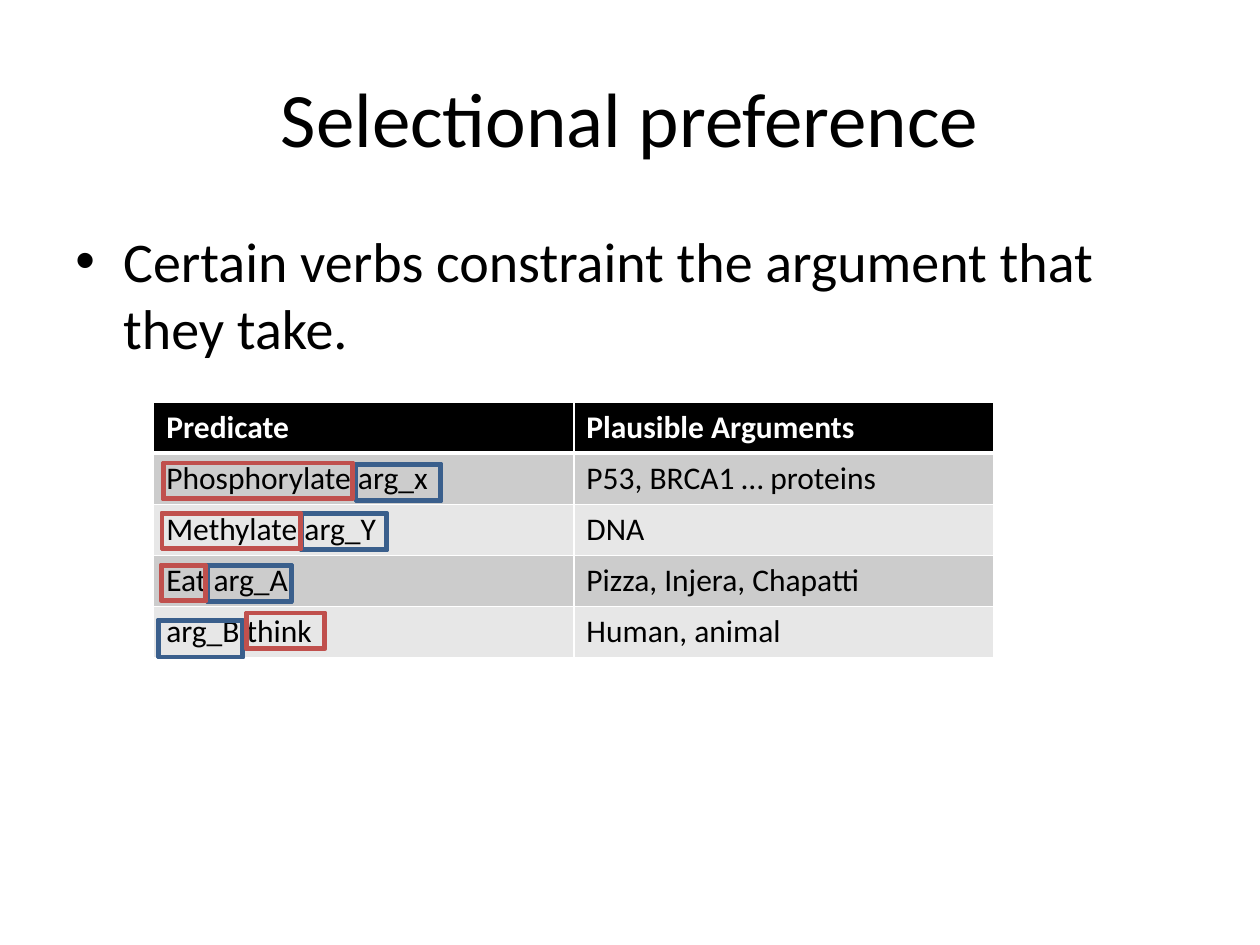
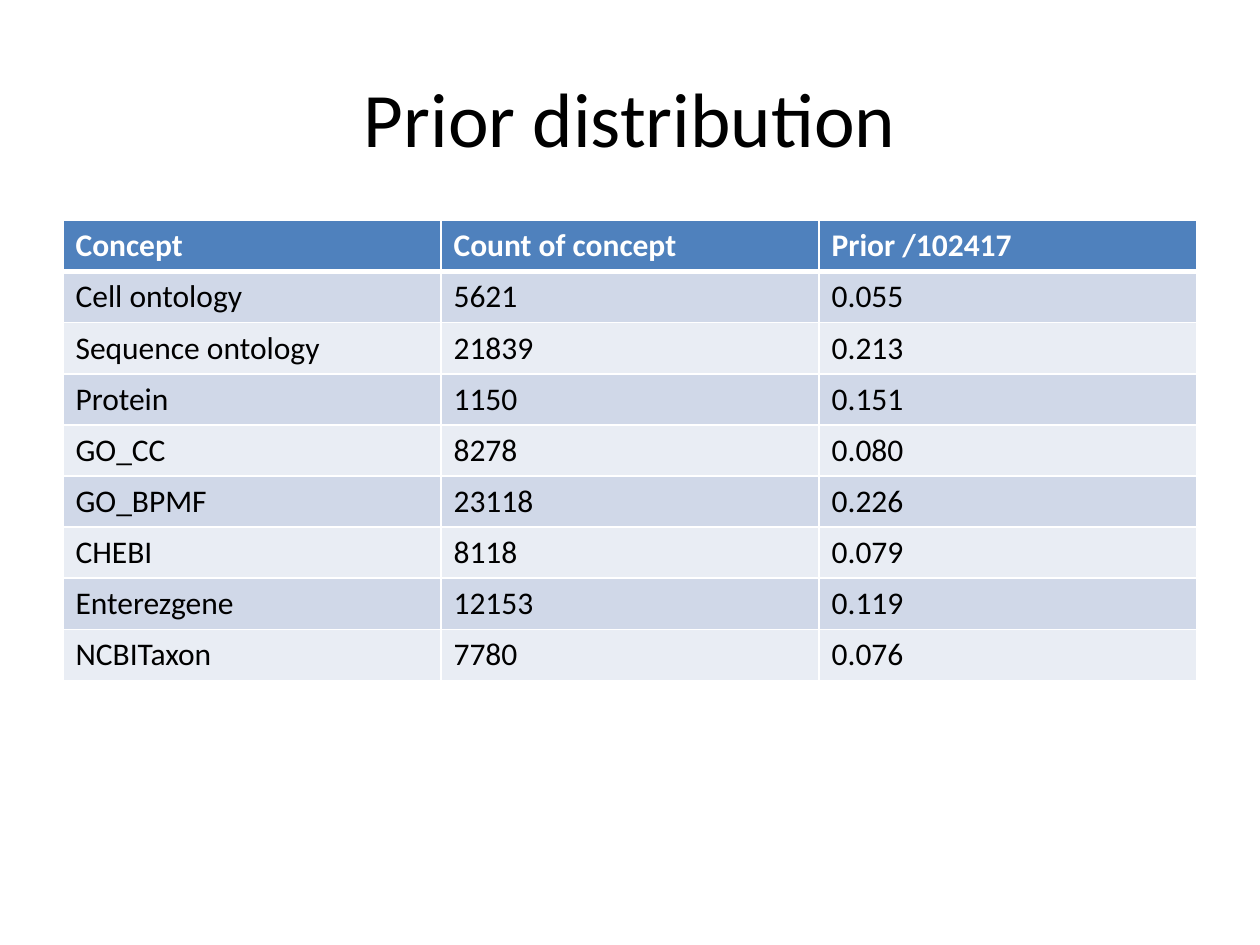
from lxml import etree
from pptx import Presentation
from pptx.dml.color import RGBColor
from pptx.enum.shapes import MSO_SHAPE
from pptx.enum.text import MSO_ANCHOR, PP_ALIGN
from pptx.oxml.ns import qn
from pptx.util import Inches, Pt

FRAME = MSO_SHAPE.FRAME
MIDDLE = MSO_ANCHOR.MIDDLE
LEFT, CENTER = PP_ALIGN.LEFT, PP_ALIGN.CENTER

FONT = "Calibri"
BLACK = RGBColor(0x00, 0x00, 0x00)
WHITE = RGBColor(0xFF, 0xFF, 0xFF)
BLUE = RGBColor(0x4F, 0x81, 0xBD)
DARK_BLUE = RGBColor(0x3A, 0x5F, 0x8C)
RED = RGBColor(0xC0, 0x50, 0x4D)
GREY_BANDS = (RGBColor(0xCC, 0xCC, 0xCC), RGBColor(0xE7, 0xE7, 0xE7))
BLUE_BANDS = (RGBColor(0xD0, 0xD8, 0xE8), RGBColor(0xE9, 0xED, 0xF4))

TITLE_ONLY = 5
TITLE_BOX = (0.5, 0.3, 9, 1.25)
BODY_BOX = (0.5, 1.75, 9, 4.95)
PREFERENCE_BOX = (1.22, 3.19, 6.67, 2.03)
PRIOR_BOX = (0.5, 1.75, 9, 3.65)

PREFERENCES = [
    ("Predicate", "Plausible Arguments"),
    ("Phosphorylate arg_x", "P53, BRCA1 … proteins"),
    ("Methylate arg_Y", "DNA"),
    ("Eat arg_A", "Pizza, Injera, Chapatti"),
    ("arg_B think", "Human, animal"),
]
PRIORS = [
    ("Concept", "Count of concept", "Prior /102417"),
    ("Cell ontology", "5621", "0.055"),
    ("Sequence ontology", "21839", "0.213"),
    ("Protein", "1150", "0.151"),
    ("GO_CC", "8278", "0.080"),
    ("GO_BPMF", "23118", "0.226"),
    ("CHEBI", "8118", "0.079"),
    ("Enterezgene", "12153", "0.119"),
    ("NCBITaxon", "7780", "0.076"),
]
ARGUMENT_FRAMES = [(1.6, 0.49), (1.17, 0.88), (0.42, 1.29), (0.03, 1.73)]
PREDICATE_FRAMES = [
    (0.06, 0.88, 1.11),
    (0.07, 0.48, 1.51),
    (0.06, 1.29, 0.36),
    (0.73, 1.67, 0.63),
]


def write_text(text_frame, text, size=18, color=BLACK, bold=False, align=LEFT):
    paragraph = text_frame.paragraphs[0]
    paragraph.alignment = align
    run = paragraph.add_run()
    run.text = text
    run.font.name = FONT
    run.font.size = Pt(size)
    run.font.bold = bold
    run.font.color.rgb = color
    return paragraph


def add_titled_slide(presentation, text):
    slide = presentation.slides.add_slide(presentation.slide_layouts[TITLE_ONLY])
    title = slide.shapes.title
    title.left, title.top, title.width, title.height = map(Inches, TITLE_BOX)
    title.text_frame.vertical_anchor = MIDDLE
    write_text(title.text_frame, text, size=44, align=CENTER)
    return slide


def add_bullet(slide, box, text):
    text_frame = slide.shapes.add_textbox(*map(Inches, box)).text_frame
    text_frame.word_wrap = True
    paragraph = write_text(text_frame, text, size=32)
    properties = paragraph._p.get_or_add_pPr()
    properties.set("marL", str(Inches(0.38)))
    properties.set("indent", str(Inches(-0.38)))
    spacing = etree.SubElement(properties, qn("a:spcBef"))
    etree.SubElement(spacing, qn("a:spcPct"), val="20000")
    etree.SubElement(properties, qn("a:buFont"), typeface="Arial")
    etree.SubElement(properties, qn("a:buChar"), char="•")


def set_borders(cell, top, bottom):
    properties = cell._tc.get_or_add_tcPr()
    for side, width in (("L", 1), ("R", 1), ("T", top), ("B", bottom)):
        line = etree.SubElement(properties, qn(f"a:ln{side}"), w=str(Pt(width)))
        fill = etree.SubElement(line, qn("a:solidFill"))
        etree.SubElement(fill, qn("a:srgbClr"), val=str(WHITE))


def add_banded_table(slide, box, rows, header_color, bands):
    left, top, width, height = map(Inches, box)
    column_count = len(rows[0])
    table = slide.shapes.add_table(
        len(rows), column_count, left, top, width, height
    ).table
    for column in table.columns:
        column.width = width // column_count
    for row in table.rows:
        row.height = height // len(rows)
    for row_index, values in enumerate(rows):
        is_header = row_index == 0
        for column_index, value in enumerate(values):
            cell = table.cell(row_index, column_index)
            set_borders(cell, 3 if row_index == 1 else 1, 3 if is_header else 1)
            cell.fill.solid()
            cell.fill.fore_color.rgb = (
                header_color if is_header else bands[(row_index - 1) % 2]
            )
            write_text(
                cell.text_frame,
                value,
                color=WHITE if is_header else BLACK,
                bold=is_header,
            )


def add_frame(slide, box, fill_color, line_color):
    frame = slide.shapes.add_shape(FRAME, *map(Inches, box))
    frame.adjustments[0] = 0.036
    frame.shadow.inherit = False
    frame.fill.solid()
    frame.fill.fore_color.rgb = fill_color
    frame.line.color.rgb = line_color
    frame.line.width = Pt(2)


def add_word_frames(slide, box):
    left, top = box[:2]
    for x, y in ARGUMENT_FRAMES:
        add_frame(slide, (left + x, top + y, 0.68, 0.3), BLUE, DARK_BLUE)
    for x, y, width in PREDICATE_FRAMES:
        add_frame(slide, (left + x, top + y, width, 0.29), RED, RED)


def build_preference_slide(presentation):
    slide = add_titled_slide(presentation, "Selectional preference")
    add_bullet(
        slide, BODY_BOX, "Certain verbs constraint the argument that they take."
    )
    add_banded_table(slide, PREFERENCE_BOX, PREFERENCES, BLACK, GREY_BANDS)
    add_word_frames(slide, PREFERENCE_BOX)


def build_prior_slide(presentation):
    slide = add_titled_slide(presentation, "Prior distribution")
    add_banded_table(slide, PRIOR_BOX, PRIORS, BLUE, BLUE_BANDS)


def main():
    presentation = Presentation()
    presentation.slide_width = Inches(10)
    presentation.slide_height = Inches(7.5)
    build_preference_slide(presentation)
    build_prior_slide(presentation)
    presentation.save("out.pptx")


if __name__ == "__main__":
    main()
